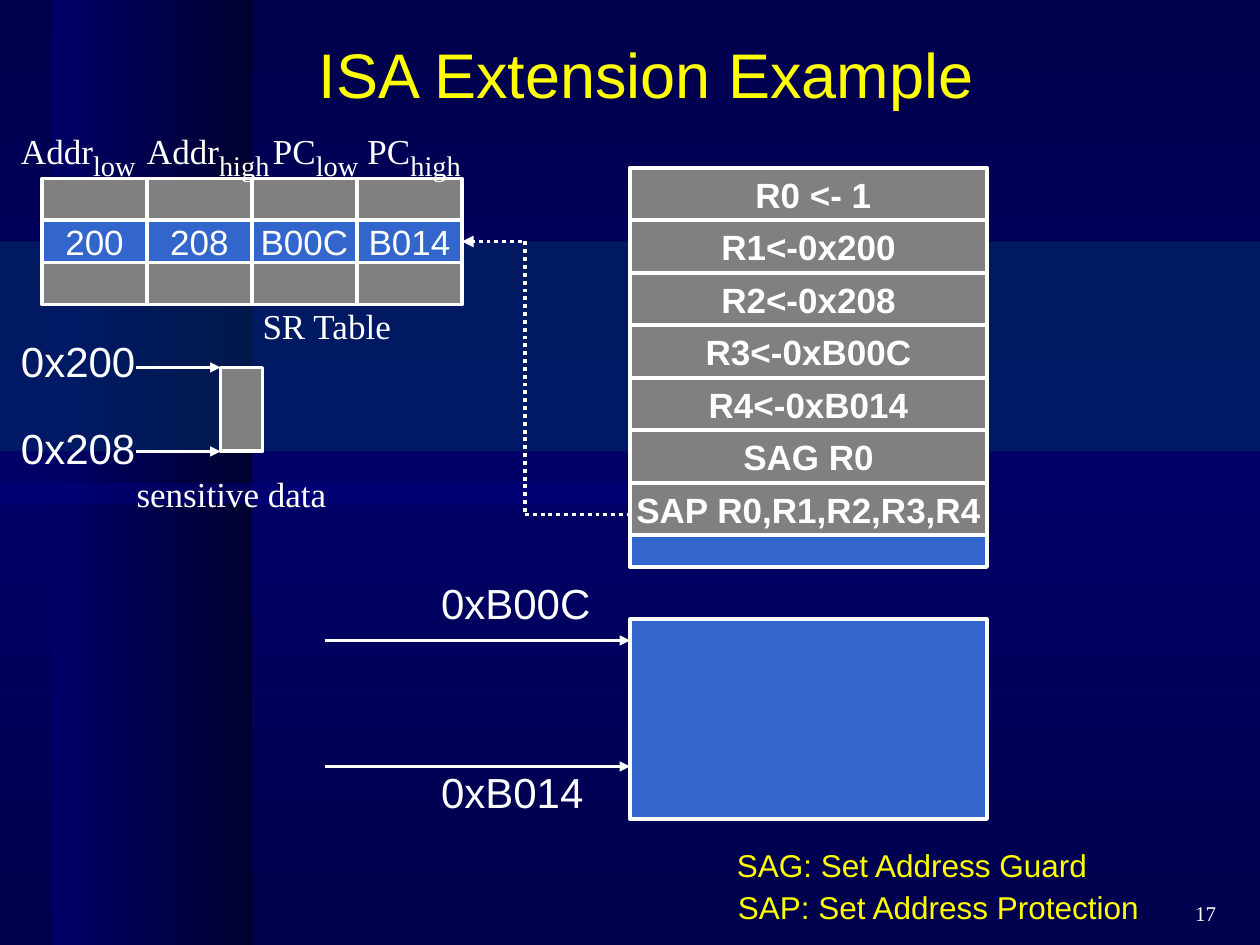
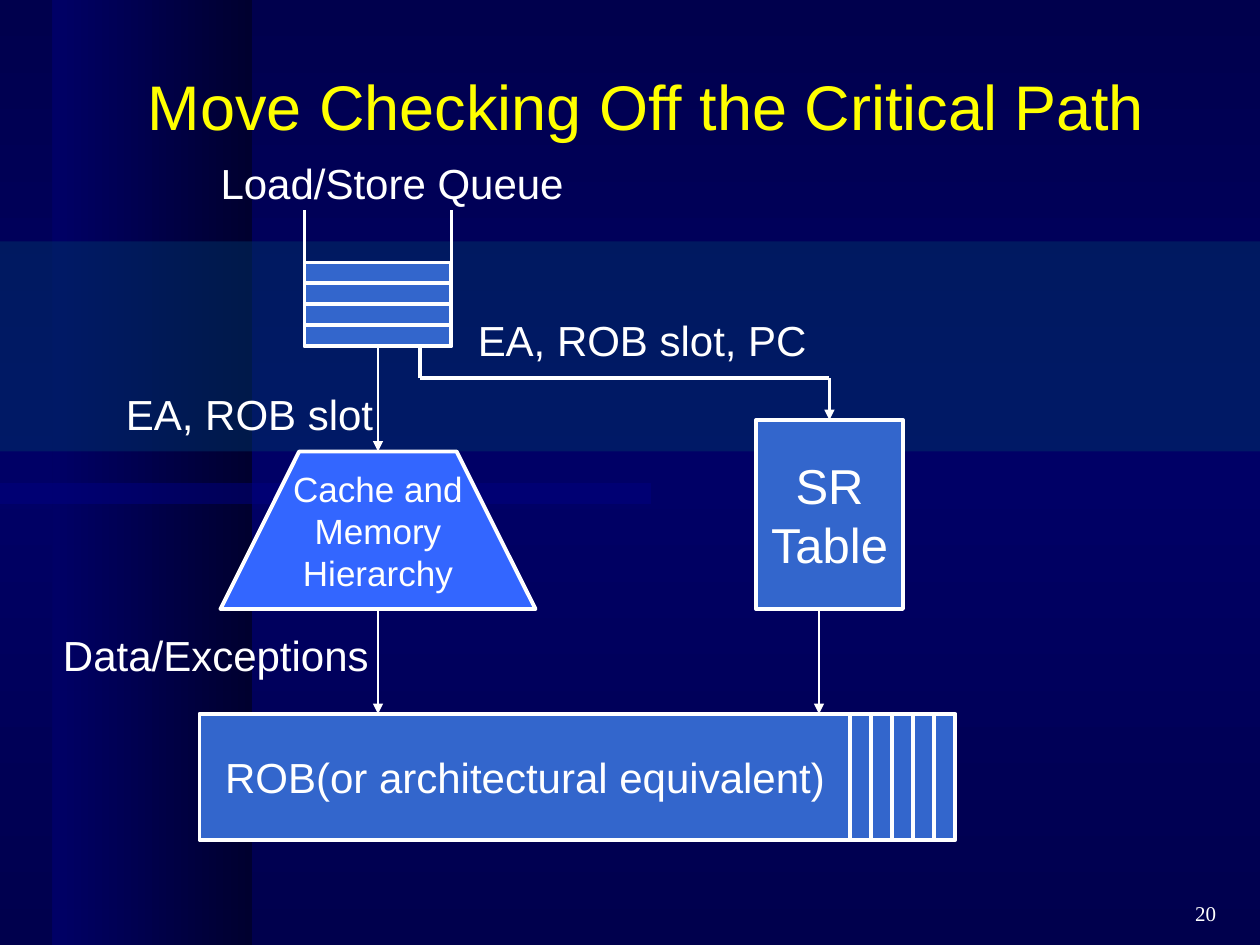
"""Builds two slides on an instruction set extension and its checking hardware."""
from dataclasses import dataclass
from typing import Any, NamedTuple

import pptx
import pptx.dml.color
import pptx.enum.dml
import pptx.enum.shapes
import pptx.enum.text
import pptx.oxml
import pptx.oxml.ns
import pptx.util

COLS, ROWS = 120, 90
WIDTH, HEIGHT = pptx.util.Inches(10), pptx.util.Inches(7.5)
ALIGN = pptx.enum.text.PP_ALIGN
ANCHOR = pptx.enum.text.MSO_ANCHOR
AUTO = pptx.enum.text.MSO_AUTO_SIZE
RECT = pptx.enum.shapes.MSO_SHAPE.RECTANGLE

COLORS = {
    "edge": "00004D", "centre": "000066", "shade": "00002F", "bar": "000080",
    "belt": "003366", "white": "FFFFFF", "yellow": "FFFF00", "blue": "3366CC",
    "cache": "3366FF", "gray": "808080",
}


class Box(NamedTuple):
    """A rectangle in grid columns and rows."""
    x: float
    y: float
    w: float
    h: float


@dataclass
class TextStyle:
    """Font and paragraph choices for a text."""
    size: int = 24
    name: str = "Arial"
    bold: bool = False
    color: str = "white"
    align: Any = ALIGN.LEFT


@dataclass
class Block:
    """A filled, outlined rectangle with optional text."""
    box: Box
    fill: str = "blue"
    text: str = ""
    size: int = 24
    bold: bool = False


@dataclass
class Label:
    """A free text, optionally with a subscript after it."""
    box: Box
    text: str
    style: TextStyle
    sub: str = ""
    inset: bool = False
    wrap: bool = True


class Line(NamedTuple):
    """A straight line between two grid points."""
    x1: float
    y1: float
    x2: float
    y2: float
    arrow: bool = False
    width: float = 2.25
    dotted: bool = False


ARIAL = TextStyle()
SERIF = TextStyle(20, "Times New Roman")
NOTE = TextStyle(18, color="yellow")
TITLE = TextStyle(36, color="yellow", align=ALIGN.CENTER)
NUMBER = TextStyle(12, "Times New Roman", align=ALIGN.RIGHT)


def rgb(name: str) -> pptx.dml.color.RGBColor:
    """Return the named colour."""
    return pptx.dml.color.RGBColor.from_string(COLORS[name])


def col(n: float) -> int:
    """Return the length of n grid columns."""
    return round(WIDTH * n / COLS)


def row(n: float) -> int:
    """Return the length of n grid rows."""
    return round(HEIGHT * n / ROWS)


def place(box: Box) -> tuple:
    """Return left, top, width and height of a box."""
    return col(box.x), row(box.y), col(box.w), row(box.h)


def assign(target: Any, values: dict) -> None:
    """Set each value as an attribute of the target."""
    for key, value in values.items():
        setattr(target, key, value)


def add_run(p: Any, text: str, style: TextStyle, size: int) -> Any:
    """Add a formatted run to a paragraph."""
    r = p.add_run()
    r.text = text
    assign(r.font, {"size": pptx.util.Pt(size), "name": style.name, "bold": style.bold})
    r.font.color.rgb = rgb(style.color)
    return r


def write(tf: Any, text: str, style: TextStyle, **frame: Any) -> Any:
    """Write one paragraph per line and return the last one."""
    assign(tf, frame)
    for i, line in enumerate(text.split("\n")):
        p = tf.add_paragraph() if i else tf.paragraphs[0]
        p.alignment = style.align
        add_run(p, line, style, style.size)
    return p


def gradient(fill: Any, element: Any, angle: float, stops: list[str]) -> None:
    """Give a fill evenly spaced gradient stops."""
    fill.gradient()
    fill.gradient_angle = angle
    stop_list = next(element.iter(pptx.oxml.ns.qn("a:gsLst")))
    for stop in list(stop_list):
        stop_list.remove(stop)
    for i, name in enumerate(stops):
        position = 100000 * i // (len(stops) - 1)
        stop_list.append(pptx.oxml.parse_xml(
            f'<a:gs {pptx.oxml.ns.nsdecls("a")} pos="{position}">'
            f'<a:srgbClr val="{COLORS[name]}"/></a:gs>'))


def paint(sp: Any, fill: str) -> None:
    """Give a shape a solid fill, a white outline and no shadow."""
    sp.shadow.inherit = False
    sp.fill.solid()
    sp.fill.fore_color.rgb = rgb(fill)
    sp.line.color.rgb = rgb("white")
    sp.line.width = pptx.util.Pt(2.25)


def add_block(s: Any, block: Block) -> None:
    """Draw a block."""
    sp = s.shapes.add_shape(RECT, *place(block.box))
    paint(sp, block.fill)
    if block.text:
        style = TextStyle(block.size, bold=block.bold, align=ALIGN.CENTER)
        write(sp.text_frame, block.text, style, word_wrap=False, vertical_anchor=ANCHOR.MIDDLE)


def add_label(s: Any, label: Label) -> None:
    """Draw a label."""
    tf = s.shapes.add_textbox(*place(label.box)).text_frame
    if not label.inset:
        assign(tf, dict.fromkeys(
            ("margin_left", "margin_top", "margin_right", "margin_bottom"), 0))
    p = write(tf, label.text, label.style, word_wrap=label.wrap, auto_size=AUTO.SHAPE_TO_FIT_TEXT)
    if label.sub:
        r = add_run(p, label.sub, label.style, 28)
        r.font._element.set("baseline", "-25000")


def add_line(s: Any, line: Line) -> None:
    """Draw a line, with an arrowhead or dots where asked."""
    c = s.shapes.add_connector(pptx.enum.shapes.MSO_CONNECTOR.STRAIGHT,
                               col(line.x1), row(line.y1), col(line.x2), row(line.y2))
    c.line.color.rgb = rgb("white")
    c.line.width = pptx.util.Pt(line.width)
    if line.dotted:
        c.line.dash_style = pptx.enum.dml.MSO_LINE.ROUND_DOT
    ns = pptx.oxml.ns.nsdecls("a")
    if line.arrow:
        c.line._get_or_add_ln().append(
            pptx.oxml.parse_xml(f'<a:tailEnd {ns} type="triangle"/>'))
    c.element.spPr.append(pptx.oxml.parse_xml(f"<a:effectLst {ns}/>"))


def draw(s: Any, blocks: list[Block], lines: list[Line], labels: list[Label]) -> None:
    """Draw the blocks, lines and labels of a slide."""
    for add, items in ((add_block, blocks), (add_line, lines), (add_label, labels)):
        for item in items:
            add(s, item)


def dress_master(prs: Any, s: Any) -> None:
    """Give the master its background and bands, drawn first on a slide."""
    master = prs.slide_master
    gradient(master.background.fill, master.element, 90, ["edge", "centre", "edge"])
    bands = {"shade": Box(5, 0, 19, ROWS), "bar": Box(0, 46, 62, 2), "belt": Box(0, 23, COLS, 20)}
    for i, (name, box) in enumerate(bands.items()):
        sp = s.shapes.add_shape(RECT, *place(box))
        sp.shadow.inherit = False
        sp.line.fill.background()
        if name == "shade":
            gradient(sp.fill, sp.element, 180, ["shade", "centre"])
        else:
            sp.fill.solid()
            sp.fill.fore_color.rgb = rgb(name)
            color = next(sp.element.spPr.iter(pptx.oxml.ns.qn("a:srgbClr")))
            color.append(pptx.oxml.parse_xml(
                f'<a:alpha {pptx.oxml.ns.nsdecls("a")} val="50000"/>'))
        sp.element.nvSpPr.cNvPr.set("id", str(100 + i))
        master.shapes.element.insert(2 + i, sp.element)


def add_slide(prs: Any, title: str, top: float, number: int) -> Any:
    """Add a slide with its title and number."""
    s = prs.slides.add_slide(prs.slide_layouts[5])
    sp = s.shapes.title
    assign(sp, dict(zip(("left", "top", "width", "height"), place(Box(0, top, COLS, 10)))))
    p = write(sp.text_frame, title, TITLE, word_wrap=True, auto_size=AUTO.NONE,
              vertical_anchor=ANCHOR.MIDDLE)
    p._p.get_or_add_pPr().set("marL", str(pptx.util.Inches(0.26)))
    tf = s.shapes.add_textbox(*place(Box(92, 84, 25, 6))).text_frame
    write(tf, str(number), NUMBER, word_wrap=True, vertical_anchor=ANCHOR.MIDDLE)
    return s


def draw_isa_example(s: Any) -> None:
    """Draw the table, the instructions and the guarded ranges."""
    code = [" R0 <- 1", "R1<-0x200", "R2<-0x208", "R3<-0xB00C", "R4<-0xB014",
            "SAG R0", "SAP R0,R1,R2,R3,R4"]
    entry = ["200", "208", "B00C", "B014"]
    blocks = [Block(Box(60, 16, 34, 38)), Block(Box(21, 35, 4, 8), "gray"),
              Block(Box(60, 59, 34, 19))]
    blocks += [Block(Box(60, 16 + 5 * i, 34, 5), "gray", text, 20, True)
               for i, text in enumerate(code)]
    for y, fill, texts in ((17, "gray", [""] * 4), (25, "gray", [""] * 4), (21, "blue", entry)):
        blocks += [Block(Box(4 + 10 * i, y, 10, 4), fill, text, 20)
                   for i, text in enumerate(texts)]
    lines = [Line(x1, y, x2, y, True, 1.5)
             for x1, x2, ys in ((13, 21, (35, 43)), (31, 60, (61, 73))) for y in ys]
    lines += [Line(49.7, 23, 44, 23, True, dotted=True), Line(50, 23, 50, 49, dotted=True),
              Line(50, 49, 60, 49, dotted=True)]
    heads = [(2, "Addr", "low"), (14, "Addr", "high"), (26, "PC", "low"), (35, "PC", "high")]
    labels = [Label(Box(x, 11, 14, 6.4), text, SERIF, sub) for x, text, sub in heads]
    labels += [Label(Box(x, y, w, 4.8), text, ARIAL) for x, y, w, text in (
        (2, 32, 11, "0x200"), (2, 40.2, 11, "0x208"),
        (42, 55, 16, "0xB00C"), (42, 73, 16, "0xB014"))]
    labels += [Label(Box(13, 45, 20, 4), "sensitive data", SERIF),
               Label(Box(25, 29, 20, 4), "SR Table", SERIF)]
    labels += [Label(Box(x, y, w, 4.8), text, NOTE, inset=True, wrap=False) for x, y, w, text in (
        (69, 80, 35.9, "SAG: Set Address Guard"), (69.1, 84, 40.7, "SAP: Set Address Protection"))]
    draw(s, blocks, lines, labels)


def draw_critical_path(s: Any) -> None:
    """Draw the queue, the cache, the SR table and the reorder buffer."""
    blocks = [Block(Box(29, 25 + 2 * i, 14, 2)) for i in range(4)]
    blocks += [Block(Box(19, 68, 62, 12), text="ROB(or architectural equivalent)")]
    blocks += [Block(Box(81 + 2 * i, 68, 2, 12)) for i in range(5)]
    blocks += [Block(Box(72, 40, 14, 18), text="SR\nTable", size=28)]
    lines = [Line(x, 33, x, 20) for x in (29, 43)]
    lines += [Line(x, y1, x, y2, True, 1.5) for x, y1, y2 in (
        (36, 33, 43), (36, 58, 68), (78, 58, 68), (79, 36, 40))]
    lines += [Line(40, 36, 40, 33), Line(79, 36, 40, 36)]
    labels = [Label(Box(x, y, w, 4.8), text, ARIAL) for x, y, w, text in (
        (21, 15, 39, "Load/Store Queue"), (12, 37, 29, "EA, ROB slot"),
        (45.5, 30, 39.5, "EA, ROB slot, PC"), (6, 60, 30, "Data/Exceptions"))]
    cache = s.shapes.build_freeform(col(21), row(58))
    cache.add_line_segments([(col(x), row(y)) for x, y in ((51, 58), (43.5, 43), (28.5, 43))])
    sp = cache.convert_to_shape()
    paint(sp, "cache")
    write(sp.text_frame, "Cache and\nMemory\nHierarchy", TextStyle(20, align=ALIGN.CENTER),
          word_wrap=False, vertical_anchor=ANCHOR.MIDDLE)
    draw(s, blocks, lines, labels)


def main() -> None:
    """Build and save the presentation."""
    prs = pptx.Presentation()
    assign(prs, {"slide_width": WIDTH, "slide_height": HEIGHT})
    isa = add_slide(prs, "ISA Extension Example", 2, 17)
    dress_master(prs, isa)
    draw_isa_example(isa)
    draw_critical_path(add_slide(prs, "Move Checking Off the Critical Path", 5, 20))
    prs.save("out.pptx")


if __name__ == "__main__":
    main()
